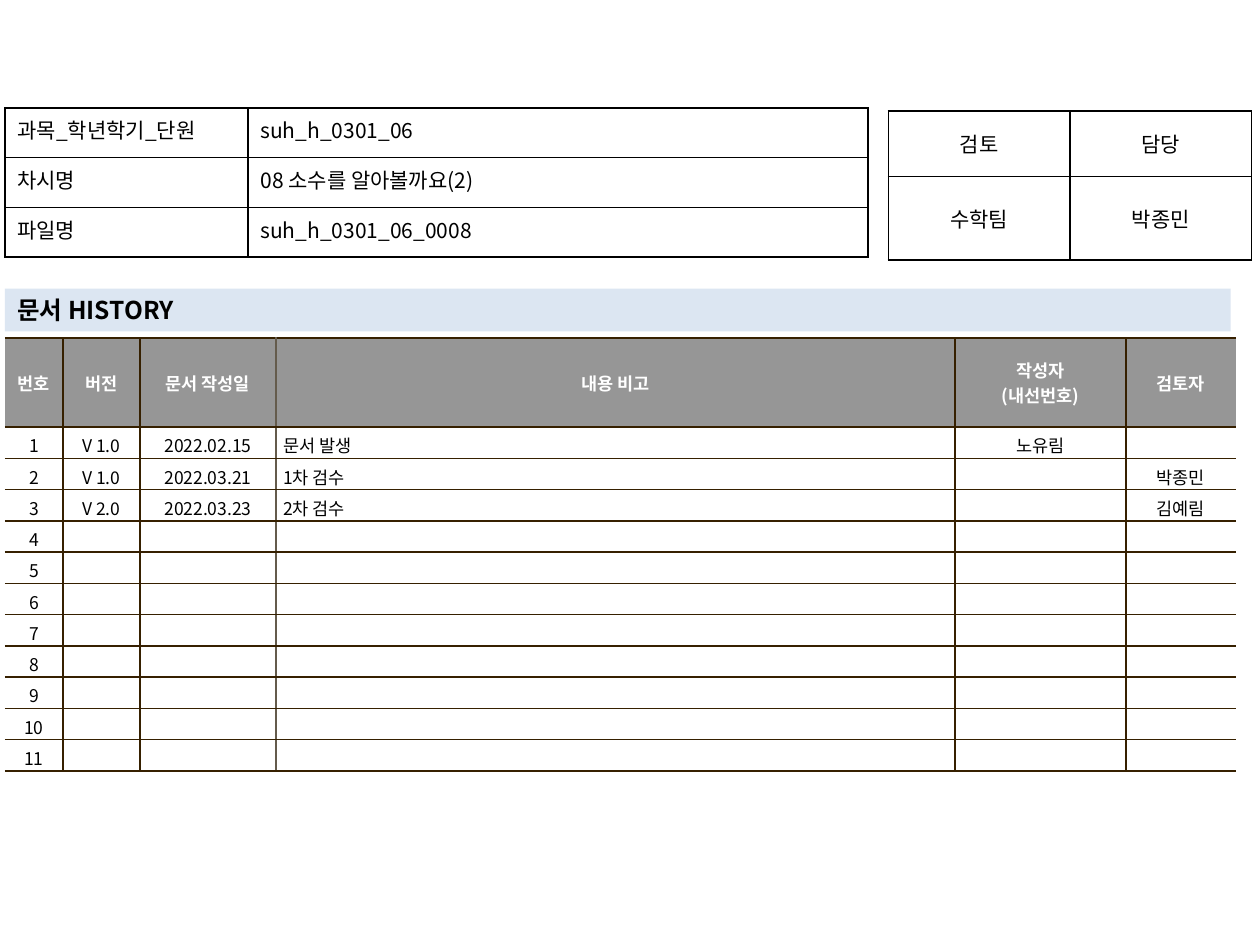
from dataclasses import dataclass

from lxml import etree
from pptx import Presentation
from pptx.dml.color import RGBColor
from pptx.enum.text import MSO_ANCHOR, MSO_AUTO_SIZE, PP_ALIGN
from pptx.oxml.ns import qn
from pptx.util import Cm, Pt

LEFT, CENTER, JUSTIFY = PP_ALIGN.LEFT, PP_ALIGN.CENTER, PP_ALIGN.JUSTIFY
TOP, MIDDLE = MSO_ANCHOR.TOP, MSO_ANCHOR.MIDDLE
FONT = "Noto Sans CJK KR"
COLORS = {"black": "000000", "white": "FFFFFF", "gray": "969696",
          "blue": "DCE6F2", "brown": "362000", "taupe": "645B4C"}


@dataclass
class Grid:
    left: float
    top: float
    cols: list[float]
    rows: list[float]
    cells: list[list[str]]
    aligns: list
    line: str = "black"
    size: int = 12
    anchor: object = MIDDLE
    pads: tuple = (0.25, 0.13, 0.13)
    body: str | None = None
    head: str | None = None
    open_sides: bool = False
    soft: int | None = None


def color(name: str) -> RGBColor:
    return RGBColor.from_string(COLORS[name])


def write(frame, text: str, *, size=12, ink="black", bold=False, align=LEFT) -> None:
    for i, line in enumerate(text.split("\n")):
        para = frame.paragraphs[0] if i == 0 else frame.add_paragraph()
        para.alignment = align
        if not line:
            etree.SubElement(para._p, qn("a:endParaRPr"), sz=str(size * 100))
            continue
        run = para.add_run()
        run.text = line
        font = run.font
        font.name, font.size, font.bold = FONT, Pt(size), bold
        font.color.rgb = color(ink)
        etree.SubElement(run._r.get_or_add_rPr(), qn("a:ea"), typeface=FONT)


def border(cell, side: str, name: str | None) -> None:
    line = etree.SubElement(cell._tc.get_or_add_tcPr(), qn(f"a:ln{side}"), w=str(Pt(1)))
    if name is None:
        etree.SubElement(line, qn("a:noFill"))
    else:
        fill = etree.SubElement(line, qn("a:solidFill"))
        etree.SubElement(fill, qn("a:srgbClr"), val=COLORS[name])


def paint(cell, name: str | None) -> None:
    if name is None:
        cell.fill.background()
    else:
        cell.fill.solid()
        cell.fill.fore_color.rgb = color(name)


def edges(grid: Grid, col: int) -> dict:
    last = len(grid.cols) - 1
    left = right = grid.line
    if grid.open_sides:
        left = None if col == 0 else left
        right = None if col == last else right
    if grid.soft is not None:
        left = "taupe" if col == grid.soft else left
        right = "taupe" if col == grid.soft - 1 else right
    return {"L": left, "R": right, "T": grid.line, "B": grid.line}


def draw(slide, grid: Grid) -> None:
    table = slide.shapes.add_table(
        len(grid.rows), len(grid.cols), Cm(grid.left), Cm(grid.top),
        Cm(sum(grid.cols)), Cm(sum(grid.rows))).table
    table.first_row = table.horz_banding = False
    for col, width in zip(table.columns, grid.cols):
        col.width = Cm(width)
    for row, height in zip(table.rows, grid.rows):
        row.height = Cm(height)
    for r, texts in enumerate(grid.cells):
        head = r == 0 and grid.head is not None
        for c, text in enumerate(texts):
            cell = table.cell(r, c)
            side, top, base = grid.pads
            cell.margin_left = cell.margin_right = Cm(side)
            cell.margin_top = Cm(top)
            cell.margin_bottom = Cm(top if head else base)
            cell.vertical_anchor = grid.anchor
            for edge, name in edges(grid, c).items():
                border(cell, edge, name)
            paint(cell, grid.head if head else grid.body)
            write(cell.text_frame, text, size=grid.size, bold=head,
                  ink="white" if head else "black",
                  align=CENTER if head else grid.aligns[c])


def banner(slide, text: str) -> None:
    title = slide.shapes.title
    title.left, title.top, title.width, title.height = Cm(0.1), Cm(5.82), Cm(24.71), Cm(0.86)
    title.fill.solid()
    title.fill.fore_color.rgb = color("blue")
    frame = title.text_frame
    frame.auto_size = MSO_AUTO_SIZE.NONE
    frame.word_wrap = True
    frame.vertical_anchor = MIDDLE
    frame.margin_left = frame.margin_right = Cm(0.25)
    frame.margin_top = frame.margin_bottom = 0
    write(frame, text, size=14, bold=True)


SIGNS = Grid(17.91, 2.24, [3.66, 3.66], [1.32, 1.68],
             [["검토", "담당"], ["수학팀", "박종민"]], [CENTER, CENTER])

INFO = Grid(0.1, 2.18, [4.9, 12.5], [1.0] * 3,
            [["과목_학년학기_단원", "suh_h_0301_06"],
             ["차시명", "08 소수를 알아볼까요(2)"],
             ["파일명", "suh_h_0301_06_0008"]],
            [JUSTIFY, LEFT], anchor=TOP)

HEADS = ["번호", "버전", "문서 작성일", "내용 비고", "작성자\n(내선번호)", "검토자"]
NOTES = [["V 1.0", "2022.02.15", "문서 발생", "노유림", ""],
         ["V 1.0", "2022.03.21", "1차 검수", "", "박종민"],
         ["V 2.0", "2022.03.23", "2차 검수", "", "김예림"]]
COUNT = 11
BLANKS = [[""] * 5] * (COUNT - len(NOTES))
LINES = [[str(n), *note] for n, note in enumerate(NOTES + BLANKS, 1)]

HISTORY = Grid(0.1, 6.81, [1.17, 1.55, 2.74, 13.69, 3.45, 2.21],
               [1.8] + [0.63] * COUNT, [HEADS, *LINES],
               [CENTER, CENTER, CENTER, LEFT, CENTER, CENTER],
               line="brown", size=10, pads=(0.15, 0.1, 0),
               body="white", head="gray", open_sides=True, soft=3)


def main() -> None:
    deck = Presentation()
    deck.slide_width, deck.slide_height = Cm(25.4), Cm(19.05)
    slide = deck.slides.add_slide(deck.slide_layouts[5])
    banner(slide, "문서 HISTORY")
    for grid in (SIGNS, HISTORY, INFO):
        draw(slide, grid)
    deck.save("out.pptx")


if __name__ == "__main__":
    main()
